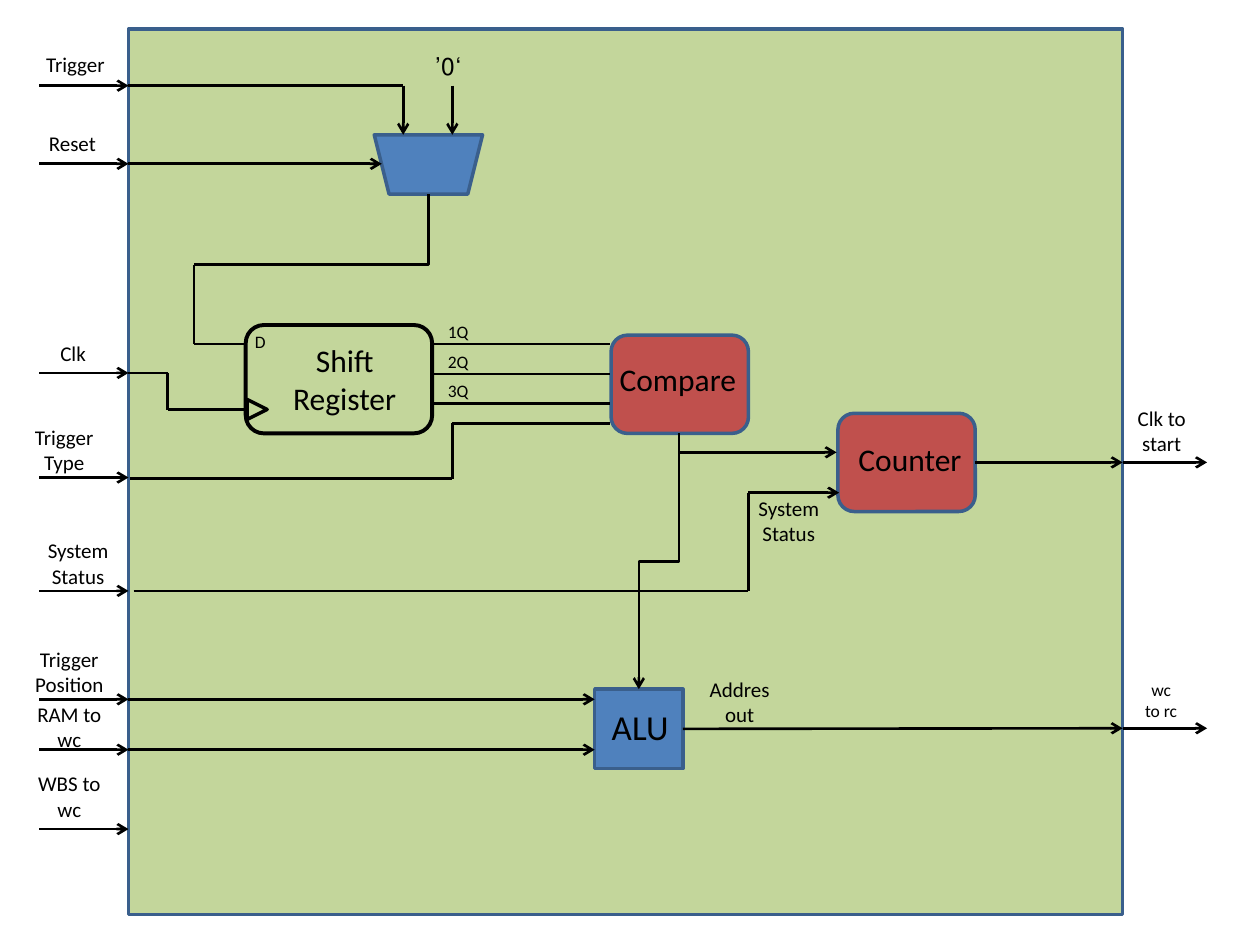
from pptx import Presentation
from pptx.dml.color import RGBColor
from pptx.enum.shapes import MSO_CONNECTOR as CONN, MSO_SHAPE as SHAPE
from pptx.enum.text import PP_ALIGN as ALIGN
from pptx.oxml.ns import qn
from pptx.util import Inches, Pt
from lxml.etree import SubElement

GREEN = RGBColor(0xC3, 0xD6, 0x9B)
BLUE = RGBColor(0x4F, 0x81, 0xBD)
RED = RGBColor(0xC0, 0x50, 0x4D)
EDGE = RGBColor(0x3A, 0x5F, 0x8C)
BLACK = RGBColor(0, 0, 0)

CHIP_LEFT, CHIP_RIGHT = 1.02, 8.91
PIN_LEFT, PIN_RIGHT = 0.31, 9.58

BLOCKS = {
    "chip": (SHAPE.RECTANGLE, CHIP_LEFT, 0.23, 7.89, 7.03, 0, GREEN, EDGE, 2),
    "compare": (SHAPE.ROUNDED_RECTANGLE, 4.85, 2.66, 1.09, 0.78, 0, RED, EDGE, 2),
    "mux": (SHAPE.TRAPEZOID, 2.97, 1.07, 0.86, 0.47, 180, BLUE, EDGE, 2),
    "register": (SHAPE.ROUNDED_RECTANGLE, 1.95, 2.58, 1.48, 0.86, 0, None, BLACK, 2.25),
    "clock": (SHAPE.ISOSCELES_TRIANGLE, 1.96, 3.17, 0.16, 0.16, 90, None, BLACK, 2),
    "alu": (SHAPE.RECTANGLE, 4.72, 5.47, 0.7, 0.63, 0, BLUE, EDGE, 2),
    "counter": (SHAPE.ROUNDED_RECTANGLE, 6.65, 3.28, 1.09, 0.78, 0, RED, EDGE, 2),
}

INPUT_YS = [0.68, 1.3, 2.96, 3.79, 4.69, 5.55, 5.95, 6.58]
OUTPUT_YS = [3.67, 5.78]
Q_YS = [2.73, 2.97, 3.2]

ARROWS = [
    (CHIP_LEFT, 1.3, 3.03, 1.3),
    (3.2, 0.68, 3.2, 1.07),
    (3.59, 0.68, 3.59, 1.07),
    (CHIP_LEFT, 5.55, 4.72, 5.55),
    (CHIP_LEFT, 5.95, 4.72, 5.95),
    (5.39, 3.59, 6.64, 3.59),
    (5.94, 3.91, 6.66, 3.91),
]
WIRES = [
    (CHIP_LEFT, 0.68, 3.2, 0.68),
    (CHIP_LEFT, 2.96, 1.33, 2.96),
    (1.33, 2.96, 1.33, 3.25),
    (1.33, 3.25, 1.95, 3.25),
    (1.54, 2.1, 1.54, 2.73),
    (1.54, 2.73, 1.95, 2.73),
    (1.03, 3.8, 3.59, 3.8),
    (3.59, 3.8, 3.59, 3.36),
    (3.59, 3.36, 4.84, 3.36),
    (1.06, 4.69, 5.94, 4.69),
    (5.94, 4.69, 5.94, 3.91),
]
ELBOWS = [
    ("bentConnector2", 3.4, 1.54, 1.54, 2.1, False),
    ("bentConnector3", 5.39, 3.44, 5.07, 5.47, True),
]

RIGHT_LABELS = [
    ("Clk", 0.31, 2.65, 0.47, 0.3, 12),
    ("Reset", 0.23, 0.99, 0.63, 0.3, 12),
    ("Trigger", 0.23, 0.36, 0.7, 0.3, 12),
    ("Compare", 4.77, 2.81, 1.17, 0.4, 18),
    ("Counter", 6.56, 3.44, 1.17, 0.4, 18),
]
CENTER_LABELS = [
    ("Trigger\nType", 0.16, 3.32, 0.7, 0.5, 12),
    ("Trigger\nPosition", 0.16, 5.08, 0.78, 0.5, 12),
    ("System\nStatus", 0.23, 4.22, 0.78, 0.5, 12),
    ("RAM to wc", 0.16, 5.52, 0.78, 0.5, 12),
    ("WBS to wc", 0.16, 6.07, 0.78, 0.5, 12),
    ("‘0’", 3.28, 0.36, 0.55, 0.34, 14),
    ("D", 1.87, 2.58, 0.39, 0.27, 10),
    ("Shift\nRegister", 2.19, 2.66, 1.09, 0.71, 18),
    ("ALU", 4.69, 5.55, 0.78, 0.44, 20),
    ("wc to rc", 8.98, 5.34, 0.47, 0.44, 10),
    ("Clk to start", 8.83, 3.17, 0.78, 0.5, 12),
    ("System\nStatus", 5.87, 3.88, 0.78, 0.5, 12),
    ("Addres out", 5.48, 5.32, 0.78, 0.5, 12),
]


def add_block(s, kind, x, y, w, h, rotation, fill, edge, width):
    sp = s.shapes.add_shape(kind, *map(Inches, (x, y, w, h)))
    sp.shadow.inherit = False
    sp.rotation = rotation
    if fill is None:
        sp.fill.background()
    else:
        sp.fill.solid()
        sp.fill.fore_color.rgb = fill
    sp.line.color.rgb = edge
    sp.line.width = Pt(width)
    return sp


def add_line(s, x1, y1, x2, y2, arrow=False, kind=CONN.STRAIGHT):
    c = s.shapes.add_connector(kind, *map(Inches, (x1, y1, x2, y2)))
    c.line.color.rgb = BLACK
    c.line.width = Pt(1.5)
    if arrow:
        SubElement(c.line._get_or_add_ln(), qn("a:tailEnd"), type="arrow")
    SubElement(c._element.spPr, qn("a:effectLst"))
    return c


def add_elbow(s, preset, x1, y1, x2, y2, arrow):
    w, h = y2 - y1, x1 - x2
    left, top = (x1 + x2 - w) / 2, (y1 + y2 - h) / 2
    c = add_line(s, left, top, left + w, top + h, arrow, CONN.ELBOW)
    c._element.spPr.find(qn("a:xfrm")).set("rot", "5400000")
    c._element.spPr.find(qn("a:prstGeom")).set("prst", preset)


def add_label(s, text, x, y, w, h, size, align):
    tf = s.shapes.add_textbox(*map(Inches, (x, y, w, h))).text_frame
    tf.word_wrap = True
    tf.text = text
    font = {"name": "Calibri", "size": Pt(size)}
    for p in tf.paragraphs:
        p.alignment = align
        p._p.get_or_add_pPr().set("rtl", "1")
        for r in p.runs:
            for key, value in font.items():
                setattr(r.font, key, value)
            r.font.color.rgb = BLACK


def main():
    prs = Presentation()
    prs.slide_width, prs.slide_height = Inches(10), Inches(7.5)
    s = prs.slides.add_slide(prs.slide_layouts[6])

    blocks = {name: add_block(s, *block) for name, block in BLOCKS.items()}

    pins = [(PIN_LEFT, y, CHIP_LEFT, y) for y in INPUT_YS]
    pins += [(CHIP_RIGHT, y, PIN_RIGHT, y) for y in OUTPUT_YS]
    for ends in pins + ARROWS:
        add_line(s, *ends, arrow=True)
    for ends in WIRES + [(3.43, y, 4.84, y) for y in Q_YS]:
        add_line(s, *ends)
    for elbow in ELBOWS:
        add_elbow(s, *elbow)
    for name, y in zip(("counter", "alu"), OUTPUT_YS):
        c = add_line(s, CHIP_RIGHT - 1, y, CHIP_RIGHT, y, arrow=True)
        c.begin_connect(blocks[name], 3)

    q_labels = [(f"{i}Q", 3.44, y - 0.23, 0.39, 0.27, 10) for i, y in enumerate(Q_YS, 1)]
    for label in RIGHT_LABELS:
        add_label(s, *label, ALIGN.RIGHT)
    for label in CENTER_LABELS + q_labels:
        add_label(s, *label, ALIGN.CENTER)

    prs.save("out.pptx")


if __name__ == "__main__":
    main()
